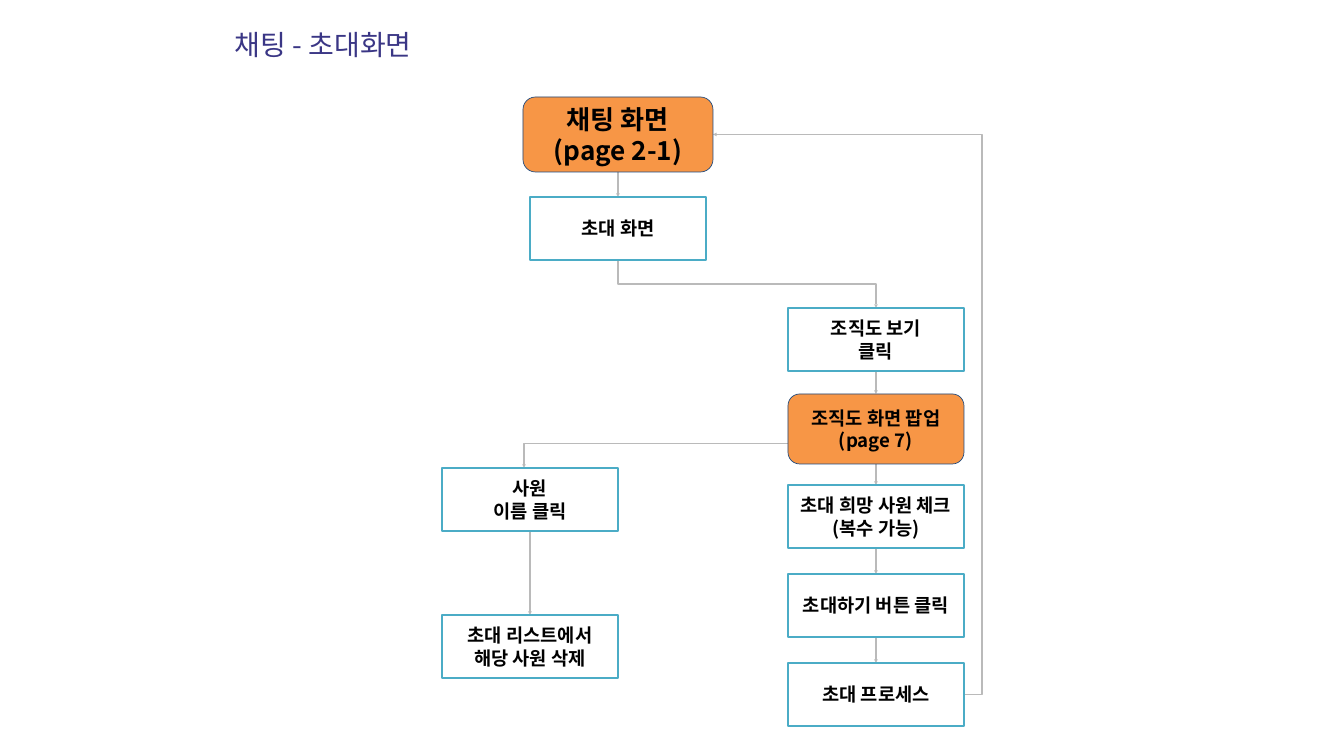
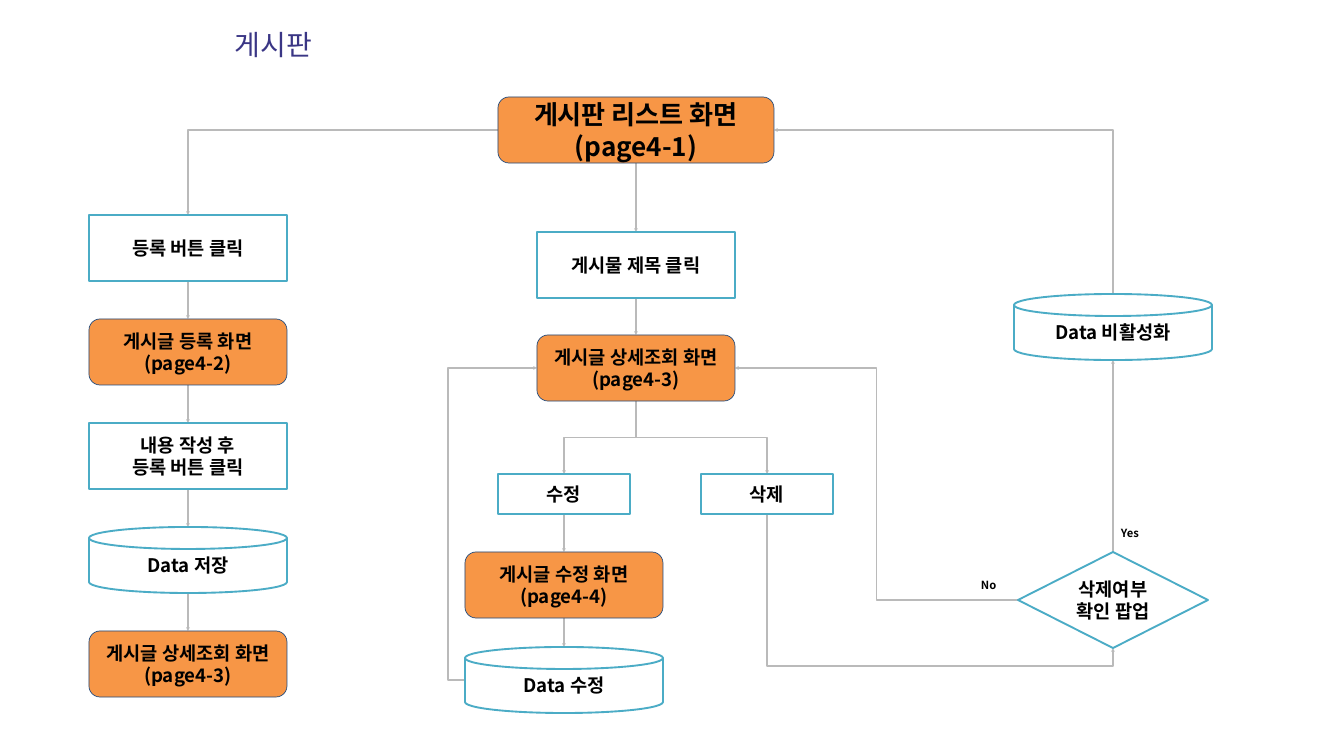
import pptx
import pptx.dml.color
import pptx.enum.shapes
import pptx.enum.text
import pptx.oxml.ns
import pptx.util
from lxml import etree

SCALE = 914400 / 67.2
FONT = "Noto Sans CJK KR"
BLACK, WHITE, GREY, TITLE = "000000", "FFFFFF", "BABABA", "3A3685"
ORANGE, NAVY, TEAL = "F79646", "1F497D", "4BACC6"

KIND = pptx.enum.shapes.MSO_SHAPE
WIRE = pptx.enum.shapes.MSO_CONNECTOR
ALIGN = pptx.enum.text.PP_ALIGN
SCREEN = (KIND.FLOWCHART_ALTERNATE_PROCESS, ORANGE, NAVY, 0.75)
STEP = (KIND.FLOWCHART_PROCESS, WHITE, TEAL, 2)
PLAIN = (KIND.RECTANGLE, WHITE, TEAL, 2)
DATA = (KIND.FLOWCHART_MAGNETIC_DISK, WHITE, TEAL, 2)
CHOICE = (KIND.FLOWCHART_DECISION, WHITE, TEAL, 2)


def px(*sizes):
    return [pptx.util.Emu(round(size * SCALE)) for size in sizes]


def color(code):
    return pptx.dml.color.RGBColor.from_string(code)


def tag(parent, kind, **attrs):
    return etree.SubElement(parent, pptx.oxml.ns.qn(kind), attrs)


def write(shape, lines, size, tint=BLACK, bold=True, align=None, pad=(7, 3)):
    frame = shape.text_frame
    frame.word_wrap = True
    frame.margin_left, frame.margin_top = px(*pad)
    frame.margin_right, frame.margin_bottom = px(*pad)
    for i, line in enumerate(lines):
        para = frame.add_paragraph() if i else frame.paragraphs[0]
        para.alignment = align
        run = para.add_run()
        run.text = line
        font = run.font
        font.size, font.bold, font.name = pptx.util.Pt(size), bold, FONT
        font.color.rgb = color(tint)
        tag(run._r.get_or_add_rPr(), "a:ea", typeface=FONT)
    return frame


def port(box, side):
    """Give the middle of one side (l, r, t, b) of a box, with the side."""
    left, top, width, height = box
    dx, dy = {"l": (0, 1), "r": (2, 1), "t": (1, 0), "b": (1, 2)}[side]
    return left + width * dx / 2, top + height * dy / 2, side


class Flow:
    """Draws steps and links relative to the corner of one frame."""

    def __init__(self, slide, left, top):
        self.shapes, self.left, self.top = slide.shapes, left, top

    def place(self, box):
        left, top, width, height = box
        return px(self.left + left, self.top + top, width, height)

    def step(self, box, style, *lines, size=20):
        kind, fill, edge, weight = style
        shape = self.shapes.add_shape(kind, *self.place(box))
        shape.shadow.inherit = False
        shape.fill.solid()
        shape.fill.fore_color.rgb = color(fill)
        shape.line.color.rgb = color(edge)
        shape.line.width = pptx.util.Pt(weight)
        frame = write(shape, lines, size, align=ALIGN.CENTER)
        frame.vertical_anchor = pptx.enum.text.MSO_ANCHOR.MIDDLE

    def label(self, box, word):
        text = self.shapes.add_textbox(*self.place(box))
        frame = write(text, [word], 12, pad=(7, 7))
        frame.auto_size = pptx.enum.text.MSO_AUTO_SIZE.SHAPE_TO_FIT_TEXT

    def link(self, start, end, bend=None):
        """Join two ports; bend is where the middle part runs."""
        x1, y1, side = start
        x2, y2, goal = end
        dx, dy = x2 - x1, y2 - y1
        upright = side in "tb"
        points = x1, y1, x2, y2
        if upright and dx:
            # A connector leaving upright is a level one turned on its centre.
            midx, midy = (x1 + x2) / 2, (y1 + y2) / 2
            half = abs(dy) / 2 * (-1 if dx * dy > 0 else 1)
            rise = abs(dx) / 2
            points = midx - half, midy - rise, midx + half, midy + rise
        kind = WIRE.ELBOW if dx and dy else WIRE.STRAIGHT
        ends = [n + (self.top if i % 2 else self.left)
                for i, n in enumerate(points)]
        wire = self.shapes.add_connector(kind, *px(*ends))
        wire.line.color.rgb = color(GREY)
        wire.line.width = pptx.util.Pt(1.5)
        props = wire._element.spPr
        edge = props.find(pptx.oxml.ns.qn("a:ln"))
        tag(edge, "a:tailEnd", type="triangle", w="sm", len="sm")
        tag(props, "a:effectLst")
        if kind == WIRE.STRAIGHT:
            return
        if upright:
            turn = 270 if dx > 0 else 90
            props.find(pptx.oxml.ns.qn("a:xfrm")).set("rot", str(turn * 60000))
        shape = props.find(pptx.oxml.ns.qn("a:prstGeom"))
        if upright != (goal in "tb"):
            shape.set("prst", "bentConnector2")
        elif bend is not None:
            part = (bend - y1) / dy if upright else (bend - x1) / dx
            guides = shape.find(pptx.oxml.ns.qn("a:avLst"))
            tag(guides, "a:gd", name="adj1", fmla=f"val {round(part * 100000)}")

    def chain(self, *boxes):
        for upper, lower in zip(boxes, boxes[1:]):
            self.link(port(upper, "b"), port(lower, "t"))


def head(slide, words):
    band = slide.shapes.add_shape(KIND.RECTANGLE, *px(0, 21, 724, 50))
    band.shadow.inherit = False
    band.fill.solid()
    band.fill.fore_color.rgb = color(WHITE)
    band.line.fill.background()
    text = slide.shapes.add_textbox(*px(235, 28, 471, 30))
    frame = write(text, [words], 30, TITLE, False, pad=(0, 0))
    frame.paragraphs[0].line_spacing = 1.0


def invite(slide, left, top):
    flow = Flow(slide, left, top)
    wide, tall = 176, 63
    chat, ask = (81, 0, 190, 75), (88, 100, wide, tall)
    view, check, press, done = [
        (346, y, wide, tall) for y in (211, 388, 477, 566)]
    popup = (346, 297, wide, 70)
    name, drop = [(0, y, wide, tall) for y in (371, 518)]

    flow.chain(chat, ask, view, popup, check, press, done)
    flow.chain(name, drop)
    flow.link((352, 322, "b"), (82, 371, "t"))
    flow.link(port(done, "r"), port(chat, "r"), 540)

    flow.step(chat, SCREEN, "채팅 화면", "(page 2-1)", size=28)
    flow.step(ask, STEP, "초대 화면")
    flow.step(view, PLAIN, "조직도 보기", "클릭")
    flow.step(popup, SCREEN, "조직도 화면 팝업", "(page 7)")
    flow.step(check, STEP, "초대 희망 사원 체크", "(복수 가능)")
    flow.step(press, PLAIN, "초대하기 버튼 클릭")
    flow.step(done, PLAIN, "초대 프로세스")
    flow.step(name, STEP, "사원", "이름 클릭")
    flow.step(drop, STEP, "초대 리스트에서", "해당 사원 삭제")


def board(slide, left, top):
    flow = Flow(slide, left, top)
    wide, tall = 198, 66
    posts = (409, 0, 276, tall)
    start, form, fill, save, saved = [
        (0, 118 + 104 * i, wide, tall) for i in range(5)]
    pick, detail = [(448, y, wide, tall) for y in (135, 238)]
    edit, erase = [(x, 377, 132, 40) for x in (409, 612)]
    editor, update = [(376, y, wide, tall) for y in (455, 550)]
    hide, sure = (925, 197, wide, tall), (929, 455, 190, 96)

    flow.link(port(posts, "l"), port(start, "t"))
    flow.chain(start, form, fill, save, saved)
    flow.chain(posts, pick, detail, edit, editor, update)
    flow.chain(detail, erase)
    flow.link(port(update, "l"), port(detail, "l"), 359)
    flow.link(port(erase, "b"), port(sure, "b"), 569)
    flow.link(port(sure, "l"), port(detail, "r"))
    flow.link(port(sure, "t"), port(hide, "b"))
    flow.link(port(hide, "t"), port(posts, "r"))

    flow.step(posts, SCREEN, "게시판 리스트 화면 (page4-1)", size=28)
    flow.step(start, STEP, "등록 버튼 클릭")
    flow.step(form, SCREEN, "게시글 등록 화면", "(page4-2)")
    flow.step(fill, STEP, "내용 작성 후", "등록 버튼 클릭")
    flow.step(save, DATA, "Data 저장")
    for box in (saved, detail):
        flow.step(box, SCREEN, "게시글 상세조회 화면 (page4-3)")
    flow.step(pick, STEP, "게시물 제목 클릭")
    flow.step(edit, STEP, "수정")
    flow.step(erase, STEP, "삭제")
    flow.step(editor, SCREEN, "게시글 수정 화면 (page4-4)")
    flow.step(update, DATA, "Data 수정")
    flow.step(hide, DATA, "Data 비활성화")
    flow.step(sure, CHOICE, "삭제여부 확인 팝업")
    flow.label((1025, 423, 67, 27), "Yes")
    flow.label((885, 475, 67, 27), "No")


def main():
    deck = pptx.Presentation()
    deck.slide_width, deck.slide_height = px(1344, 756)
    pages = (("채팅 - 초대화면", invite, 442), ("게시판", board, 89))
    for words, draw, left in pages:
        slide = deck.slides.add_slide(deck.slide_layouts[6])
        draw(slide, left, 97)
        head(slide, words)
    deck.save("out.pptx")


if __name__ == "__main__":
    main()
